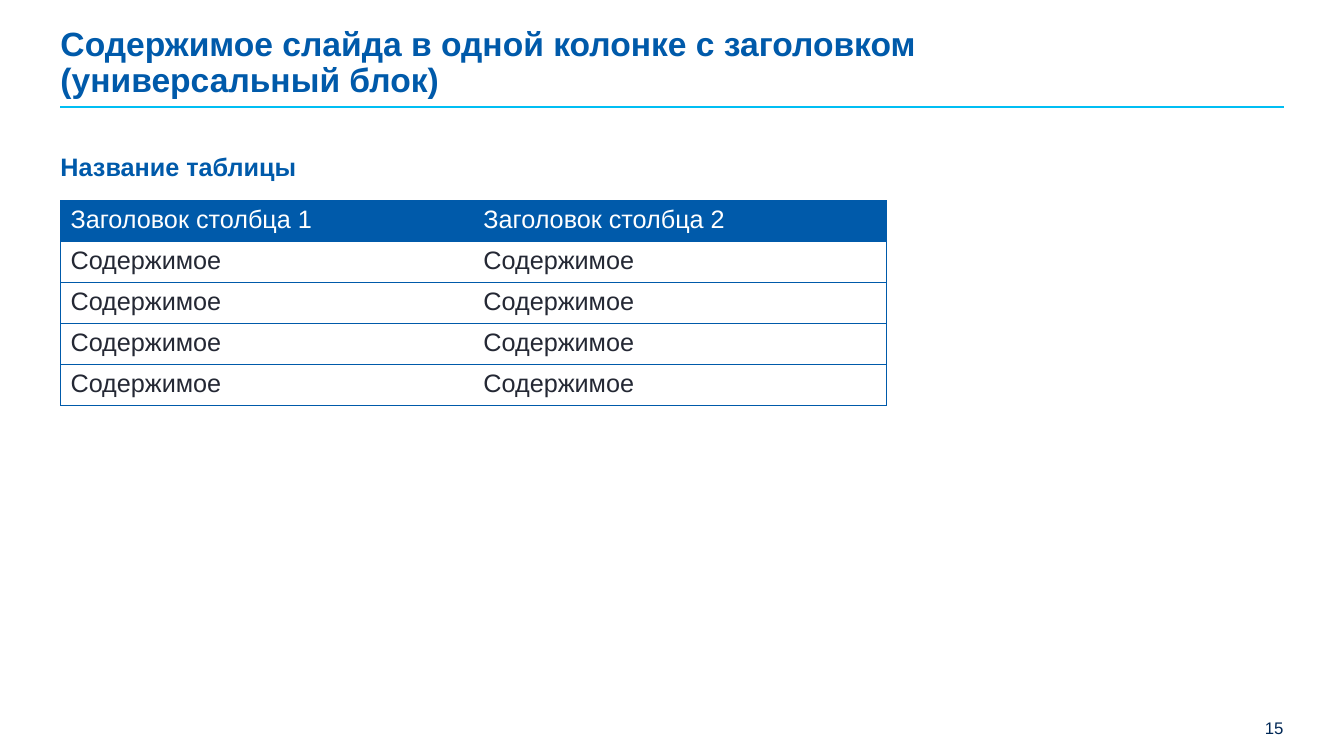
from lxml import etree
from pptx import Presentation
from pptx import util as u
from pptx.dml.color import RGBColor
from pptx.enum import shapes, text
from pptx.oxml import ns

COLORS = {"blue": "005AAA", "cyan": "00BEF3", "navy": "002856", "ink": "242834", "white": "FFFFFF"}
FONT = "Arial"
LEFT = 0.6
RIGHT = 12.73
HEADERS = ["Заголовок столбца 1", "Заголовок столбца 2"]
ROWS = [HEADERS] + [["Содержимое"] * 2] * 4


def color(name):
    """Return the palette colour with the given name."""
    return RGBColor.from_string(COLORS[name])


def write(paragraph, content, tone, font, layout=None):
    """Write one run and apply font and paragraph formats."""
    run = paragraph.add_run()
    run.text = content
    run.font.color.rgb = color(tone)
    for target, formats in ((run.font, {"name": FONT, **font}), (paragraph, layout or {})):
        for name, value in formats.items():
            setattr(target, name, value)


def add_text(slide, box, content, tone, font, layout=None, frame_format=None):
    """Add a wrapped text box without insets."""
    shape = slide.shapes.add_textbox(*map(u.Inches, box))
    formats = {"word_wrap": True, "margin_left": 0, "margin_right": 0,
               "margin_top": 0, "margin_bottom": 0, **(frame_format or {})}
    for name, value in formats.items():
        setattr(shape.text_frame, name, value)
    write(shape.text_frame.paragraphs[0], content, tone, font, layout)


def add_header(slide, box):
    """Add the slide title and the rule beneath it."""
    left, top, width, height = box
    line_top = u.Inches(top + 0.61)
    rule = slide.shapes.add_connector(
        shapes.MSO_CONNECTOR.STRAIGHT, u.Inches(left), line_top, u.Inches(RIGHT), line_top)
    rule.line.color.rgb = color("cyan")
    rule.line.width = u.Pt(1.25)
    etree.SubElement(rule._element.spPr, ns.qn("a:effectLst"))
    add_text(slide, box, "Содержимое слайда в одной колонке с заголовком (универсальный блок)",
             "blue", {"size": u.Pt(24), "bold": True}, {"line_spacing": 0.9},
             {"vertical_anchor": text.MSO_ANCHOR.MIDDLE,
              "auto_size": text.MSO_AUTO_SIZE.SHAPE_TO_FIT_TEXT})


def set_borders(cell, edges):
    """Draw the listed cell edges in blue and clear the others."""
    properties = cell._tc.get_or_add_tcPr()
    for index, edge in enumerate("LRTB"):
        line = etree.Element(ns.qn(f"a:ln{edge}"), w=str(u.Pt(0.5)))
        if edge in edges:
            fill = etree.SubElement(line, ns.qn("a:solidFill"))
            etree.SubElement(fill, ns.qn("a:srgbClr"), val=COLORS["blue"])
        else:
            etree.SubElement(line, ns.qn("a:noFill"))
        properties.insert(index, line)


def add_titled_table(slide, box):
    """Add the table heading and the table below it."""
    left, top, width, height = box
    caption_height = 0.52
    add_text(slide, (left, top, width, 0.69), "Название таблицы", "blue",
             {"size": u.Pt(18), "bold": True}, {"line_spacing": 1.1, "space_after": u.Pt(12)})
    table_box = (left, top + caption_height, width, height - caption_height)
    table = slide.shapes.add_table(len(ROWS), len(HEADERS), *map(u.Inches, table_box)).table
    table.first_row = table.horz_banding = False
    for row, values in enumerate(ROWS):
        for column, value in enumerate(values):
            cell = table.cell(row, column)
            if row == 0:
                cell.fill.solid()
                cell.fill.fore_color.rgb = color("blue")
            else:
                cell.fill.background()
            set_borders(cell, "LTB" if column == 0 else "RTB")
            write(cell.text_frame.paragraphs[0], value, "ink" if row else "white",
                  {"size": u.Pt(18), "bold": False})


def add_page_number(slide, box):
    """Add the right-aligned page number."""
    add_text(slide, box, "15", "navy", {"size": u.Pt(12)}, {"alignment": text.PP_ALIGN.RIGHT})


def main():
    """Build and save the slide."""
    presentation = Presentation()
    presentation.slide_width = u.Inches(13.33)
    presentation.slide_height = u.Inches(7.5)
    slide = presentation.slides.add_slide(presentation.slide_layouts[6])
    add_header(slide, (LEFT, 0.45, 10.51, 0.36))
    add_titled_table(slide, (LEFT, 1.47, 8.19, 2.55))
    add_page_number(slide, (RIGHT - 2.66, 7.12, 2.66, 0.2))
    presentation.save("out.pptx")


if __name__ == "__main__":
    main()
